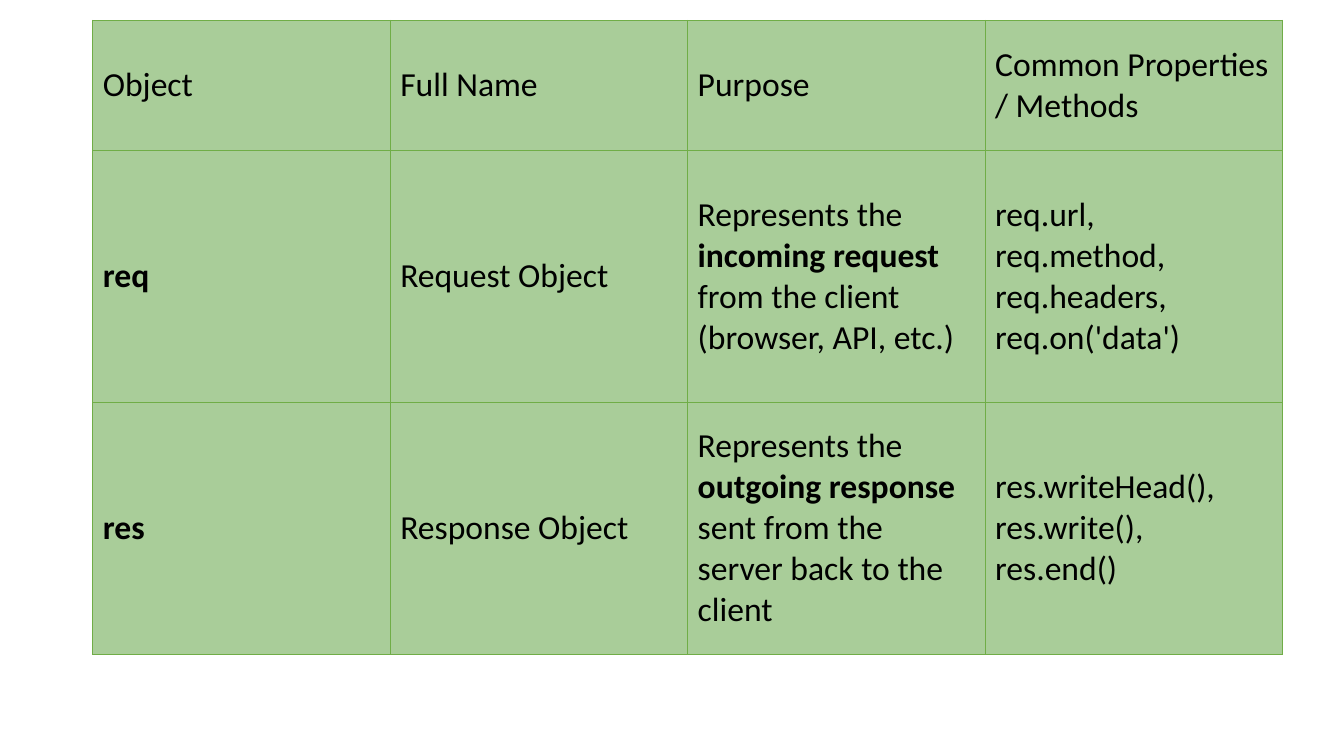
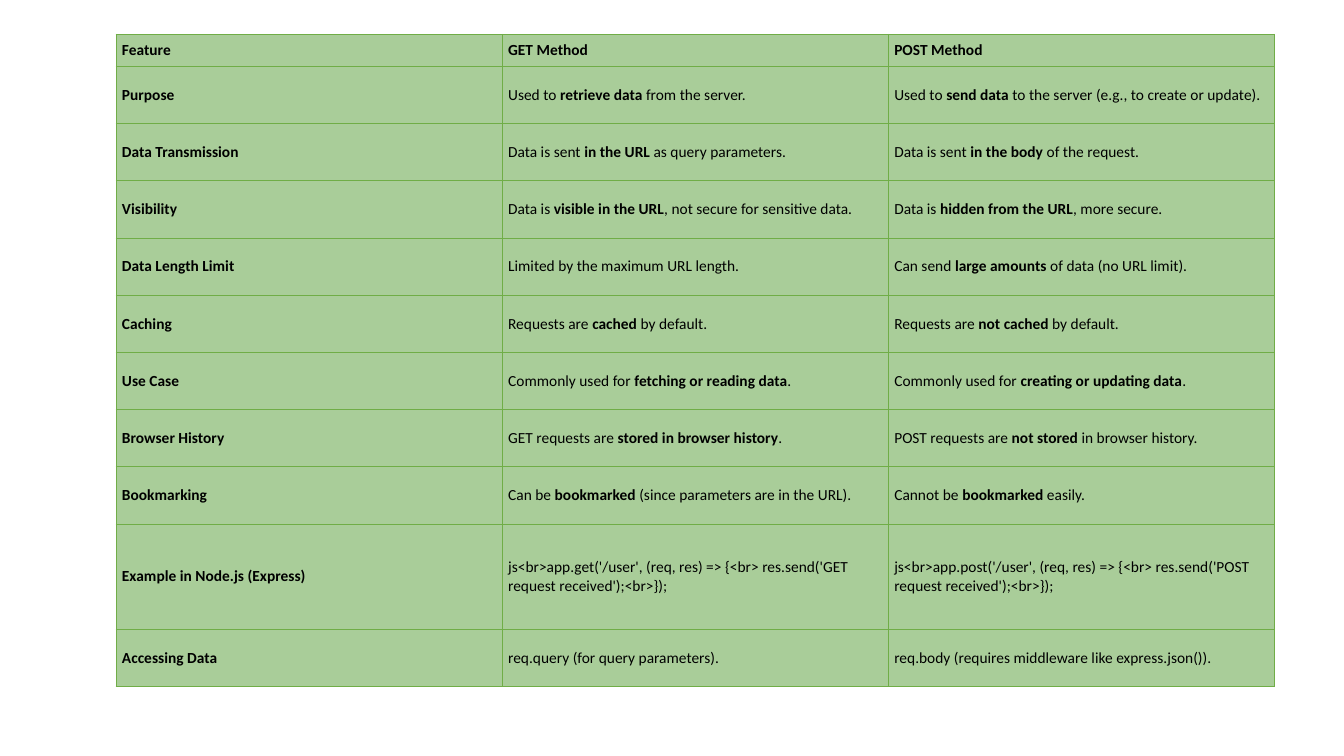
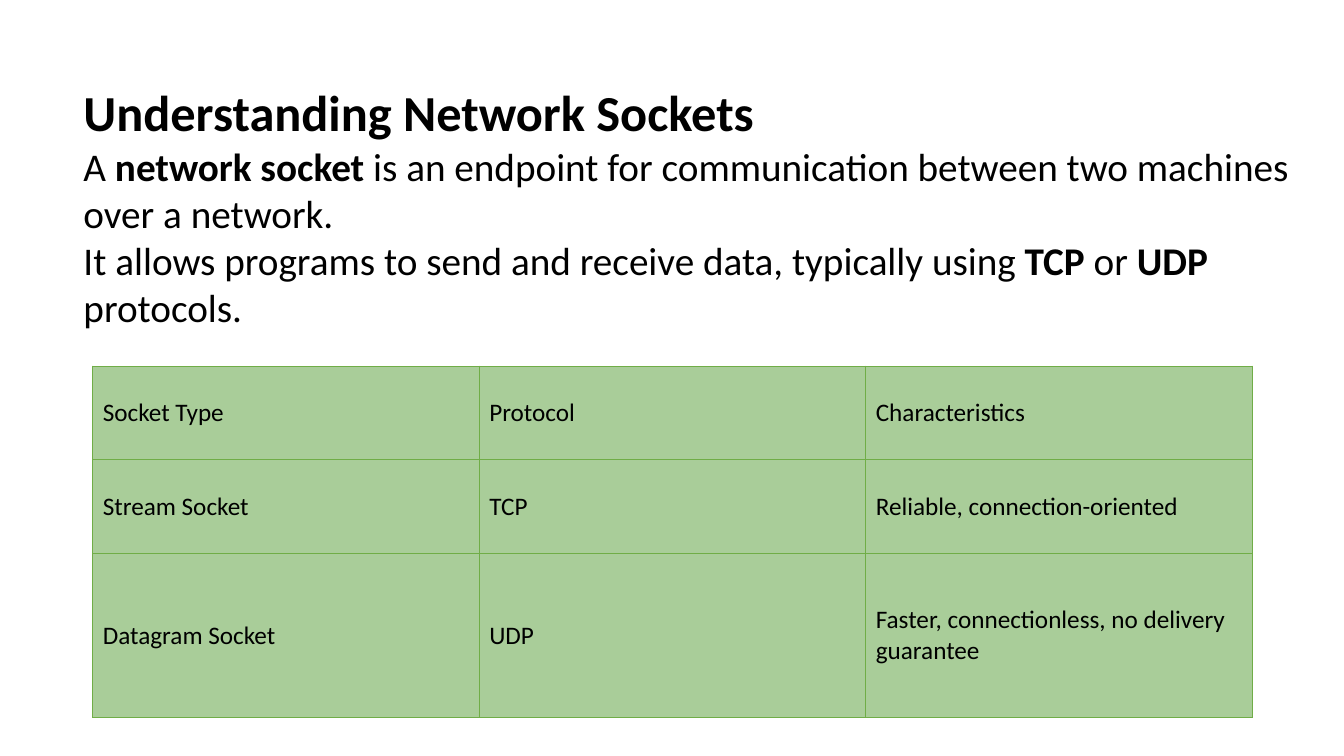
from lxml import etree
from pptx import Presentation
from pptx.dml.color import RGBColor
from pptx.enum.text import MSO_ANCHOR as Anchor, MSO_AUTO_SIZE as AutoSize
from pptx.oxml import parse_xml
from pptx.oxml.ns import nsdecls
from pptx.util import Inches, Pt

# Shared style
BLACK = RGBColor(0x00, 0x00, 0x00)
CELL_GREEN = RGBColor(0xA9, 0xCD, 0x99)
BORDER_GREEN = RGBColor(0x70, 0xAD, 0x47)
FONT = "Calibri"
BORDER_WIDTH = Pt(0.5)
ROOMY = (0.1, 0.05)
COMPACT = (0.06, 0.03)

# Text between ** marks is bold
OBJECTS = [
    ["Object", "Full Name", "Purpose", "Common Properties / Methods"],
    ["**req**", "Request Object",
     "Represents the **incoming request** from the client (browser, API, etc.)",
     "req.url, req.method, req.headers, req.on('data')"],
    ["**res**", "Response Object",
     "Represents the **outgoing response** sent from the server back to the client",
     "res.writeHead(), res.write(), res.end()"],
]
METHODS = [
    ["**Feature**", "**GET Method**", "**POST Method**"],
    ["**Purpose**", "Used to **retrieve data** from the server.",
     "Used to **send data** to the server (e.g., to create or update)."],
    ["**Data Transmission**", "Data is sent **in the URL** as query parameters.",
     "Data is sent **in the body** of the request."],
    ["**Visibility**", "Data is **visible in the URL**, not secure for sensitive data.",
     "Data is **hidden from the URL**, more secure."],
    ["**Data Length Limit**", "Limited by the maximum URL length.",
     "Can send **large amounts** of data (no URL limit)."],
    ["**Caching**", "Requests are **cached** by default.",
     "Requests are **not cached** by default."],
    ["**Use Case**", "Commonly used for **fetching or reading data**.",
     "Commonly used for **creating or updating data**."],
    ["**Browser History**", "GET requests are **stored in browser history**.",
     "POST requests are **not stored** in browser history."],
    ["**Bookmarking**", "Can be **bookmarked** (since parameters are in the URL).",
     "Cannot be **bookmarked** easily."],
    ["**Example in Node.js (Express)**",
     "js<br>app.get('/user', (req, res) => {<br> res.send('GET request received');<br>});",
     "js<br>app.post('/user', (req, res) => {<br> res.send('POST request received');<br>});"],
    ["**Accessing Data**", "req.query (for query parameters).",
     "req.body (requires middleware like express.json())."],
]
SOCKETS = [
    ["Socket Type", "Protocol", "Characteristics"],
    ["Stream Socket", "TCP", "Reliable, connection-oriented"],
    ["Datagram Socket", "UDP", "Faster, connectionless, no delivery guarantee"],
]
SOCKET_INTRO = [
    ("**Understanding Network Sockets**", 36),
    ("A **network socket** is an endpoint for communication between two machines "
     "over a network.\nIt allows programs to send and receive data, typically using "
     "**TCP** or **UDP** protocols.", 28),
]


def apply_format(target, values):
    for name, value in values.items():
        setattr(target, name, value)


def write_rich(paragraph, text, size):
    """Write text with ** bold marks and line breaks into a paragraph."""
    for part, phrase in enumerate(text.split("**")):
        for line, words in enumerate(phrase.split("\n")):
            if line:
                paragraph.add_line_break()
            if words:
                run = paragraph.add_run()
                run.text = words
                apply_format(run.font, {"name": FONT, "size": Pt(size), "bold": part % 2 == 1})
                run.font.color.rgb = BLACK


def outline_cell(cell):
    properties = cell._tc.get_or_add_tcPr()
    for side in ("lnL", "lnR", "lnT", "lnB"):
        border = parse_xml(f'<a:{side} {nsdecls("a")} w="{BORDER_WIDTH}"><a:solidFill/></a:{side}>')
        etree.SubElement(border[0], border[0].tag.replace("solidFill", "srgbClr"),
                         val=str(BORDER_GREEN))
        properties.append(border)


def comparison_table(slide, box, rows, row_shares, size, insets=ROOMY):
    """Fill the box with equal columns and rows in the given proportions."""
    left, top, width, height = map(Inches, box)
    table = slide.shapes.add_table(len(rows), len(rows[0]), left, top, width, height).table
    apply_format(table, {"first_row": False, "horz_banding": False})
    for column in table.columns:
        column.width = width // len(rows[0])
    for row, share in zip(table.rows, row_shares):
        row.height = round(height * share / sum(row_shares))

    side, edge = map(Inches, insets)
    cell_format = {"vertical_anchor": Anchor.MIDDLE, "margin_left": side, "margin_right": side,
                   "margin_top": edge, "margin_bottom": edge}
    for r, texts in enumerate(rows):
        for c, text in enumerate(texts):
            cell = table.cell(r, c)
            apply_format(cell, cell_format)
            outline_cell(cell)
            cell.fill.solid()
            cell.fill.fore_color.rgb = CELL_GREEN
            write_rich(cell.text_frame.paragraphs[0], text, size)


def intro_text(slide, box, paragraphs):
    """Heading and explanation in one text box."""
    frame = slide.shapes.add_textbox(*map(Inches, box)).text_frame
    apply_format(frame, {"word_wrap": True, "auto_size": AutoSize.SHAPE_TO_FIT_TEXT})
    for index, (text, size) in enumerate(paragraphs):
        paragraph = frame.add_paragraph() if index else frame.paragraphs[0]
        write_rich(paragraph, text, size)


def main():
    deck = Presentation()
    apply_format(deck, {"slide_width": Inches(13.33), "slide_height": Inches(7.5)})
    blank = deck.slide_layouts[6]
    objects, methods, sockets = (deck.slides.add_slide(blank) for _ in range(3))

    # Request and response objects
    comparison_table(objects, (0.92, 0.2, 11.8, 6.29), OBJECTS, [1.29, 2.5, 2.5], 24)

    # GET against POST
    comparison_table(methods, (1.15, 0.34, 11.49, 6.47), METHODS,
                     [0.32] + [0.57] * 8 + [1.05, 0.57], 11, COMPACT)

    # Network sockets
    intro_text(sockets, (0.73, 0.76, 12.27, 2.59), SOCKET_INTRO)
    comparison_table(sockets, (0.92, 3.63, 11.5, 3.49), SOCKETS, [0.93, 0.93, 1.63], 18)

    deck.save("out.pptx")


if __name__ == "__main__":
    main()
